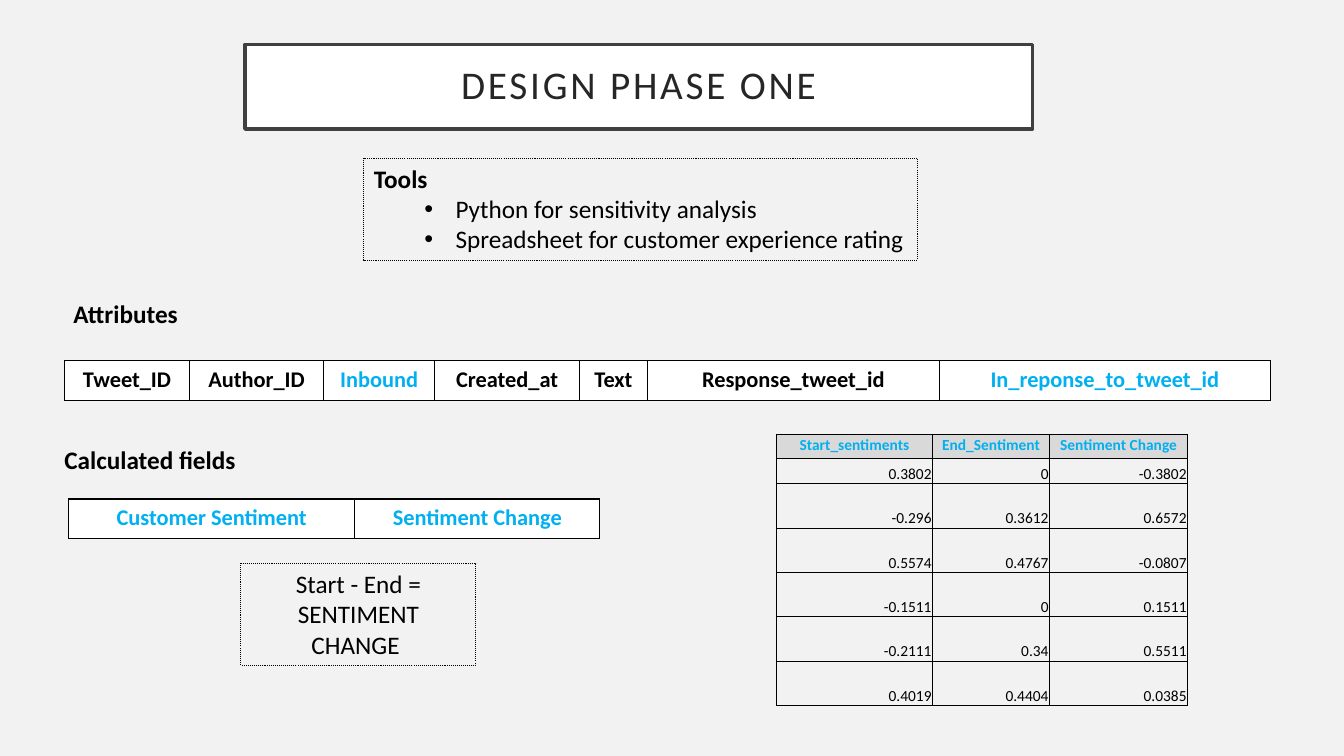
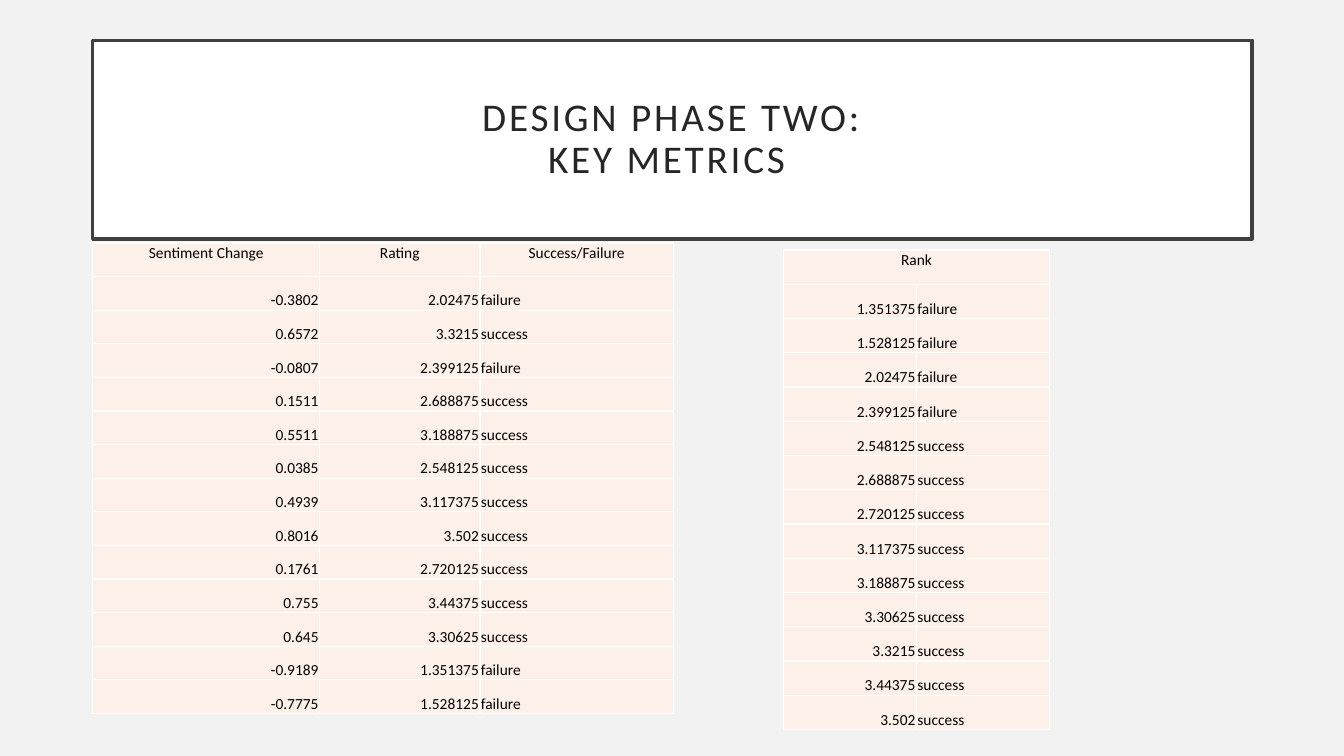
from dataclasses import dataclass

from lxml.etree import SubElement
from pptx import Presentation
from pptx.dml.color import RGBColor
from pptx.enum.dml import MSO_LINE
from pptx.enum.shapes import MSO_SHAPE
from pptx.enum.text import MSO_ANCHOR, PP_ALIGN
from pptx.oxml.ns import qn
from pptx.util import Inches, Pt

FONT = "Calibri"
COLOURS = {
    "background": "F2F2F2",
    "white": "FFFFFF",
    "black": "000000",
    "title_text": "262626",
    "title_line": "404040",
    "accent": "00B0F0",
    "grey": "D9D9D9",
    "peach": "FDF0E8",
}
CELL_MARGINS = (0.01, 0.01, 0.01, 0)


@dataclass
class TableStyle:
    header_fill: str
    body_fill: str
    border: str
    size: int = 11
    bold_header: bool = False
    margins: tuple = CELL_MARGINS


FIELD_STYLE = TableStyle("white", "white", "black", 16, True, (0.1, 0.05, 0.1, 0.05))
SENTIMENT_STYLE = TableStyle("grey", "background", "black", bold_header=True)
METRIC_STYLE = TableStyle("peach", "peach", "white")

SENTIMENTS = [
    ("Start_sentiments", "End_Sentiment", "Sentiment Change"),
    ("0.3802", "0", "-0.3802"),
    ("-0.296", "0.3612", "0.6572"),
    ("0.5574", "0.4767", "-0.0807"),
    ("-0.1511", "0", "0.1511"),
    ("-0.2111", "0.34", "0.5511"),
    ("0.4019", "0.4404", "0.0385"),
]
RATINGS = [
    ("-0.3802", "2.02475", "failure"),
    ("0.6572", "3.3215", "success"),
    ("-0.0807", "2.399125", "failure"),
    ("0.1511", "2.688875", "success"),
    ("0.5511", "3.188875", "success"),
    ("0.0385", "2.548125", "success"),
    ("0.4939", "3.117375", "success"),
    ("0.8016", "3.502", "success"),
    ("0.1761", "2.720125", "success"),
    ("0.755", "3.44375", "success"),
    ("0.645", "3.30625", "success"),
    ("-0.9189", "1.351375", "failure"),
    ("-0.7775", "1.528125", "failure"),
]


def colour(name):
    return RGBColor.from_string(COLOURS[name])


def format_runs(paragraph, size, ink="black", bold=False):
    for run in paragraph.runs:
        run.font.name = FONT
        run.font.size = Pt(size)
        run.font.bold = bold
        run.font.color.rgb = colour(ink)


def fill_solid(item, name):
    item.fill.solid()
    item.fill.fore_color.rgb = colour(name)


def set_margins(item, margins):
    sides = ("margin_left", "margin_top", "margin_right", "margin_bottom")
    for side, margin in zip(sides, margins):
        setattr(item, side, Inches(margin))


def add_box(slide, position, line, width):
    shape = slide.shapes.add_shape(MSO_SHAPE.RECTANGLE, *map(Inches, position))
    shape.shadow.inherit = False
    shape.fill.background()
    shape.line.color.rgb = colour(line)
    shape.line.width = Pt(width)
    shape.text_frame.word_wrap = True
    return shape


def add_title(slide, position, text):
    shape = add_box(slide, position, "title_line", 2.5)
    fill_solid(shape, "white")
    set_margins(shape.text_frame, (0.2,) * 4)
    shape.text_frame.vertical_anchor = MSO_ANCHOR.MIDDLE
    paragraph = shape.text_frame.paragraphs[0]
    paragraph.text = text
    paragraph.alignment = PP_ALIGN.CENTER
    paragraph.line_spacing = 0.9
    format_runs(paragraph, 28, "title_text")
    for run in paragraph.runs:
        run.font._element.set("spc", "200")


def add_dotted_box(slide, position, text, alignment):
    shape = add_box(slide, position, "black", 0.75)
    shape.line.dash_style = MSO_LINE.ROUND_DOT
    shape.text_frame.vertical_anchor = MSO_ANCHOR.TOP
    shape.text_frame.text = text
    for paragraph in shape.text_frame.paragraphs:
        paragraph.alignment = alignment
        format_runs(paragraph, 18)
    return shape.text_frame.paragraphs


def add_bullet(paragraph):
    paragraph.level = 1
    properties = paragraph._p.get_or_add_pPr()
    properties.set("marL", str(Inches(0.81)))
    properties.set("indent", str(Inches(-0.31)))
    SubElement(properties, qn("a:buFont"), typeface="Arial")
    SubElement(properties, qn("a:buChar"), char="•")


def add_heading(slide, position, text):
    frame = slide.shapes.add_textbox(*map(Inches, position)).text_frame
    frame.word_wrap = True
    frame.text = text
    format_runs(frame.paragraphs[0], 18, bold=True)


def add_borders(cell, name):
    properties = cell._tc.get_or_add_tcPr()
    for side in ("a:lnL", "a:lnR", "a:lnT", "a:lnB"):
        line = SubElement(properties, qn(side), w=str(Pt(1)))
        fill = SubElement(line, qn("a:solidFill"))
        SubElement(fill, qn("a:srgbClr"), val=COLOURS[name])


def format_cell(cell, text, style, is_header, ink):
    """Centre headers at the top; sit numbers right and words left at the bottom."""
    add_borders(cell, style.border)
    fill_solid(cell, style.header_fill if is_header else style.body_fill)
    set_margins(cell, style.margins)
    cell.vertical_anchor = MSO_ANCHOR.TOP if is_header else MSO_ANCHOR.BOTTOM
    paragraph = cell.text_frame.paragraphs[0]
    paragraph.text = text
    if is_header:
        paragraph.alignment = PP_ALIGN.CENTER
    else:
        paragraph.alignment = PP_ALIGN.LEFT if text.isalpha() else PP_ALIGN.RIGHT
    format_runs(paragraph, style.size, ink, is_header and style.bold_header)


def add_grid(slide, corner, widths, heights, rows, style, accented=()):
    """Add a table whose first row is the header; accented texts are blue."""
    size = (sum(widths), sum(heights))
    frame = slide.shapes.add_table(
        len(rows), len(widths), *map(Inches, (*corner, *size)))
    table = frame.table
    table.first_row = table.horz_banding = False
    for column, width in zip(table.columns, widths):
        column.width = Inches(width)
    for row, height in zip(table.rows, heights):
        row.height = Inches(height)
    for row_index, texts in enumerate(rows):
        for column_index, text in enumerate(texts):
            ink = "accent" if text in accented else "black"
            format_cell(table.cell(row_index, column_index), text, style,
                        row_index == 0, ink)
    return table


def build_phase_one(slide):
    add_title(slide, (2.43, 0.44, 7.81, 0.84), "DESIGN PHASE ONE")

    tools, *bullets = add_dotted_box(
        slide, (3.61, 1.57, 5.49, 1.01),
        "Tools\nPython for sensitivity analysis\n"
        "Spreadsheet for customer experience rating", PP_ALIGN.LEFT)
    format_runs(tools, 18, bold=True)
    for bullet in bullets:
        add_bullet(bullet)

    add_heading(slide, (0.63, 2.91, 4.85, 0.71), "Attributes")
    attributes = ("Tweet_ID", "Author_ID", "Inbound", "Created_at", "Text",
                  "Response_tweet_id", "In_reponse_to_tweet_id")
    add_grid(slide, (0.64, 3.58), (1.24, 1.33, 1.1, 1.44, 0.67, 2.9, 3.28), (0.39,),
             [attributes], FIELD_STYLE, ("Inbound", "In_reponse_to_tweet_id"))

    add_heading(slide, (0.54, 4.36, 4.85, 0.4), "Calculated fields")
    calculated = ("Customer Sentiment", "Sentiment Change")
    add_grid(slide, (0.68, 4.95), (2.84, 2.43), (0.39,), [calculated],
             FIELD_STYLE, calculated)
    add_dotted_box(slide, (2.39, 5.59, 2.33, 1.01),
                   "Start - End = SENTIMENT CHANGE ", PP_ALIGN.CENTER)

    add_grid(slide, (7.7, 4.31), (1.55, 1.16, 1.37), (0.24, 0.25) + (0.44,) * 5,
             SENTIMENTS, SENTIMENT_STYLE, SENTIMENTS[0])


def build_phase_two(slide):
    add_title(slide, (0.92, 0.4, 11.5, 1.97), "DESIGN PHASE TWO:\vKEY METRICS ")

    rating_rows = [("Sentiment Change", "Rating", "Success/Failure")] + RATINGS
    row_count = len(rating_rows)
    add_grid(slide, (0.92, 2.41), (2.25, 1.59, 1.92), (4.67 / row_count,) * row_count,
             rating_rows, METRIC_STYLE)

    ranked = sorted((row[1:] for row in RATINGS), key=lambda row: float(row[0]))
    rank_table = add_grid(slide, (7.77, 2.48), (1.32, 1.32),
                          (4.76 / row_count,) * row_count,
                          [("Rank", "")] + ranked, METRIC_STYLE)
    rank_table.cell(0, 0).merge(rank_table.cell(0, 1))


def main():
    presentation = Presentation()
    presentation.slide_width = Inches(13.33)
    presentation.slide_height = Inches(7.5)
    fill_solid(presentation.slide_master.background, "background")
    blank_layout = presentation.slide_layouts[6]
    for build in (build_phase_one, build_phase_two):
        build(presentation.slides.add_slide(blank_layout))
    presentation.save("out.pptx")


if __name__ == "__main__":
    main()
